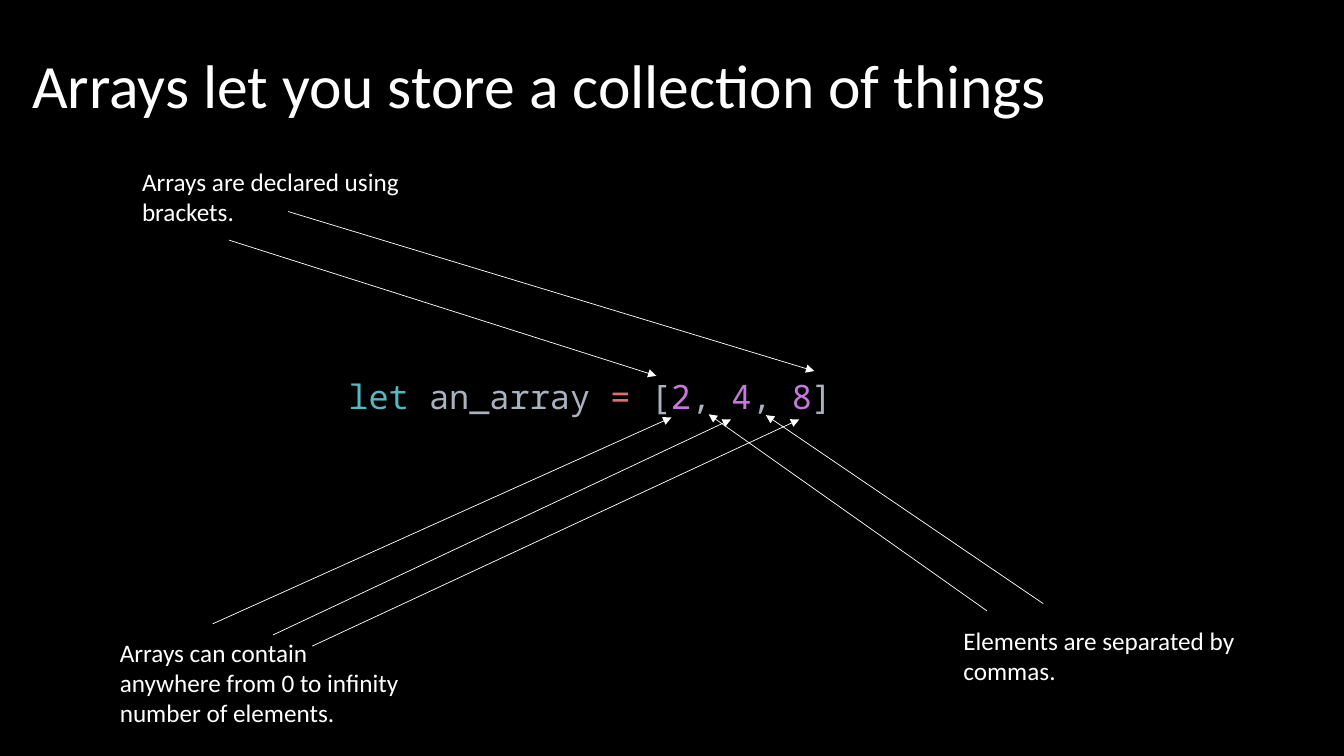
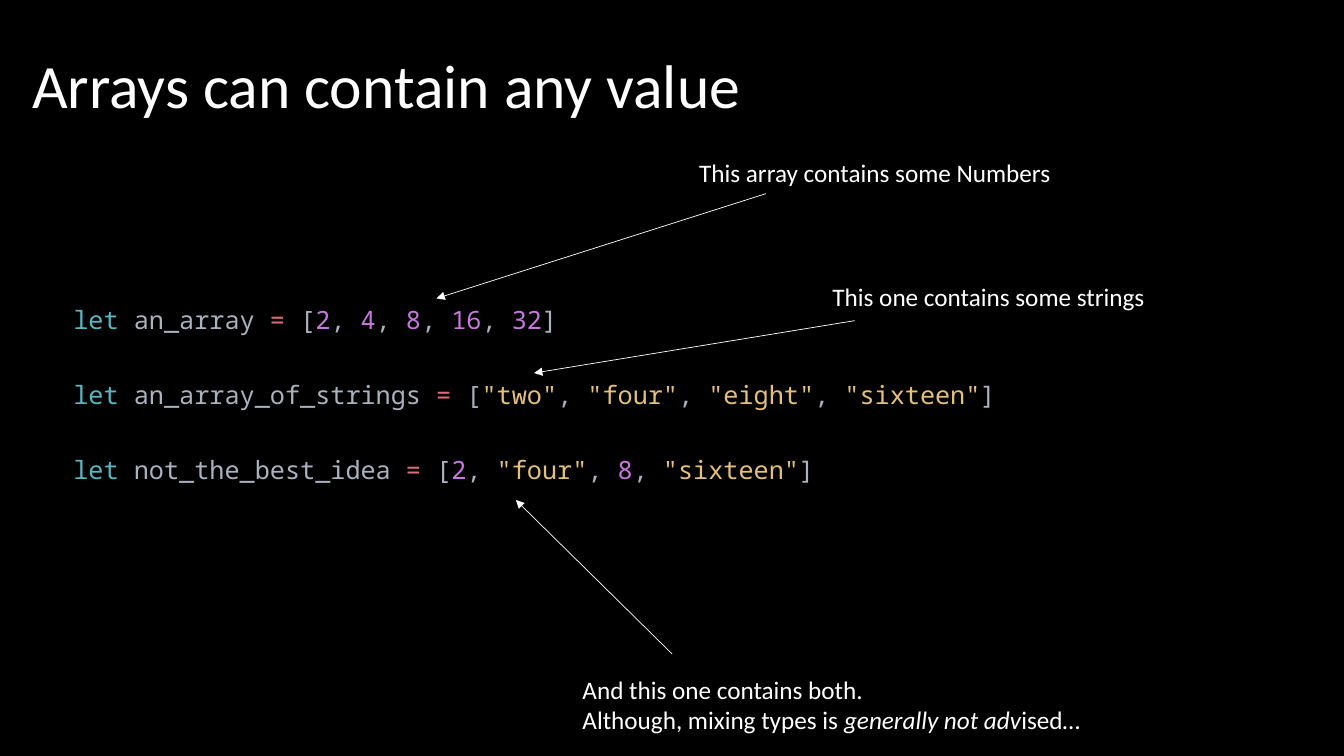
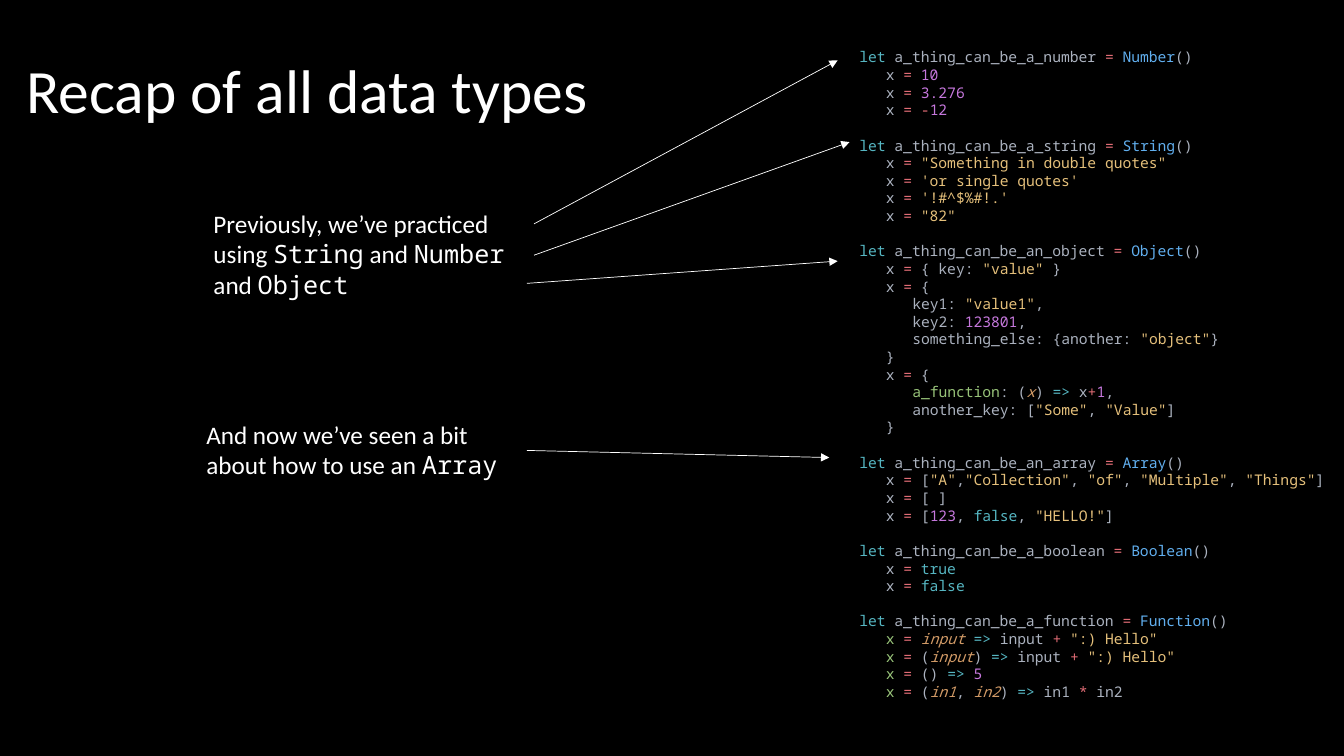
from itertools import groupby
from lxml.etree import SubElement
from pptx import Presentation
from pptx.dml.color import RGBColor
from pptx.enum.shapes import MSO_CONNECTOR
from pptx.enum.text import MSO_ANCHOR
from pptx.oxml.ns import qn
from pptx.util import Cm, Pt


class Theme:
    back = "000000"
    line = "FFFFFF"
    stroke = 0.5
    title = 44
    note = 18
    sans = "Calibri"
    mono = "Noto Sans Mono"
    styles = {
        "text": (sans, "FFFFFF", False),
        "slant": (sans, "FFFFFF", True),
        "term": (mono, "FFFFFF", False),
        "plain": (mono, "ABB2BF", False),
        "key": (mono, "56B6C2", False),
        "sign": (mono, "E06C75", False),
        "number": (mono, "C678DD", False),
        "string": (mono, "E5C07B", False),
        "type": (mono, "61AFEF", False),
        "name": (mono, "98C379", False),
        "param": (mono, "D19A66", True),
    }


TYPES = [
    "let a_thing_can_be_a_number = Number()",
    "   x = 10",
    "   x = 3.276",
    "   x = -12",
    "let a_thing_can_be_a_string = String()",
    '   x = "Something in double quotes"',
    "   x = 'or single quotes'",
    "   x = '!#^$%#!.'",
    '   x = "82"',
    "let a_thing_can_be_an_object = Object()",
    '   x = { key: "value" }',
    "   x = {",
    '      key1: "value1",',
    "      key2: 123801,",
    '      something_else: {another: "object"}',
    "   }",
    "   x = {",
    "      a_function: (x) => x+1,",
    '      another_key: ["Some", "Value"]',
    "   }",
    "let a_thing_can_be_an_array = Array()",
    '   x = ["A","Collection", "of", "Multiple", "Things"]',
    "   x = [ ]",
    '   x = [123, false, "HELLO!"]',
    "let a_thing_can_be_a_boolean = Boolean()",
    "   x = true",
    "   x = false",
    "let a_thing_can_be_a_function = Function()",
    '   x = input => input + ":) Hello"',
    '   x = (input) => input + ":) Hello"',
    "   x = () => 5",
    "   x = (in1, in2) => in1 * in2",
]

SAMPLES = [
    ("let an_array = [2, 4, 8, 16, 32]", 12.9),
    ('let an_array_of_strings = ["two", "four", "eight", "sixteen"]', 24.41),
    ('let not_the_best_idea = [2, "four", 8, "sixteen"]', 20.4),
]

SLIDES = [
    {
        "title": ("Arrays let you store a collection of things", (0.56, 0.38, 29.21, 3.68)),
        "code": [(["let an_array = [2, 4, 8]"], (8.53, 9.35, 13.03, 1.27), 24)],
        "notes": [
            ([["Arrays are declared using brackets."]], (3.33, 4.06, 7.09, 1.8)),
            ([["Elements are separated by commas."]], (24.03, 15.62, 7.65, 1.8)),
            ([["Arrays can contain anywhere from 0 to infinity number of elements."]],
             (2.77, 15.93, 7.65, 2.57)),
        ],
        "arrows": [
            (5.77, 6.05, 16.54, 9.47), (7.26, 5.33, 20.52, 9.35),
            (24.87, 15.39, 17.86, 10.44), (26.29, 15.21, 19.3, 10.46),
            (5.36, 15.72, 16.92, 10.52), (6.88, 16, 18.42, 10.57),
            (7.87, 16.28, 20.14, 10.57),
        ],
    },
    {
        "title": ("Arrays can contain any value", (0.56, 0.38, 29.21, 3.68)),
        "code": [([code], (1.6, 7.55 + 1.89 * row, width, 1.02), 18)
                 for row, (code, width) in enumerate(SAMPLES)],
        "notes": [
            ([["This array contains some Numbers"]], (17.37, 3.84, 11.51, 1.02)),
            ([["This one contains some strings"]], (20.73, 6.96, 11.51, 1.02)),
            ([["And this one contains both."],
              ["Although, mixing types is ", ("generally not adv", "slant"), "ised…"]],
             (14.43, 16.87, 13.36, 1.8)),
        ],
        "arrows": [
            (19.3, 4.88, 11, 7.52), (21.54, 8.08, 13.46, 9.4),
            (16.94, 16.48, 13, 12.6),
        ],
    },
    {
        "title": ("Recap of all data types", (0.41, 0.53, 17.42, 3.68)),
        "code": [(TYPES, (21.41, 1.09, 12.55, 17.75), 10.5)],
        "notes": [
            ([["Previously, we’ve practiced using ", ("String", "term"), " and ",
               ("Number ", "term"), "and ", ("Object", "term")]],
             (5.13, 5.13, 8.31, 2.57)),
            ([["And now we’ve seen a bit about how to use an ", ("Array", "term")]],
             (4.95, 10.44, 8.31, 1.8)),
        ],
        "arrows": [
            (13.46, 5.64, 21.11, 1.52), (13.46, 6.43, 21.41, 3.58),
            (13.28, 7.14, 21.11, 6.58), (13.28, 11.35, 20.9, 11.53),
        ],
    },
]


def classify(word, start, arrow):
    if word[0].isdigit():
        return "number"
    if word in ("let", "true", "false"):
        return "key"
    if word[0].isupper():
        return "type"
    if start < arrow:
        return "param" if start else "name"
    return "plain"


def tokens(line):
    arrow, start = line.find("=>"), 0
    while start < len(line):
        char, end, style = line[start], start + 1, "plain"
        if char in "\"'":
            end, style = line.index(char, end) + 1, "string"
        elif char.isalnum():
            while end < len(line) and (line[end].isalnum() or line[end] in "_."):
                end += 1
            style = classify(line[start:end], start, arrow)
        elif start == arrow:
            end, style = start + 2, "key"
        elif char in "=+-*":
            style = "sign"
        yield line[start:end], style
        start = end


def color(line):
    return [("".join(word for word, _ in group), style)
            for style, group in groupby(tokens(line), lambda token: token[1])]


def write(slide, lines, at, size=Theme.note, anchor=MSO_ANCHOR.TOP,
          spacing=None, indents=None, gap=0):
    frame = slide.shapes.add_textbox(*map(Cm, at)).text_frame
    frame.word_wrap = True
    frame.vertical_anchor = anchor
    for row, runs in enumerate(lines):
        para = frame.add_paragraph() if row else frame.paragraphs[0]
        para.line_spacing = spacing
        if indents and indents[row]:
            para._p.get_or_add_pPr().set("marL", str(Pt(indents[row])))
        elif row and gap:
            para.space_before = Pt(gap)
        for part in runs:
            words, style = (part, "text") if isinstance(part, str) else part
            run = para.add_run()
            run.text = words
            font = run.font
            font.name, shade, font.italic = Theme.styles[style]
            font.color.rgb = RGBColor.from_string(shade)
            font.size = Pt(size)


def program(slide, lines, at, size):
    indents = [(len(line) - len(line.lstrip())) * size * 0.6 for line in lines]
    write(slide, [color(line.strip()) for line in lines], at,
          size=size, indents=indents, gap=size * 1.2)


def point(slide, ends):
    link = slide.shapes.add_connector(MSO_CONNECTOR.STRAIGHT, *map(Cm, ends))
    link.line.color.rgb = RGBColor.from_string(Theme.line)
    link.line.width = Pt(Theme.stroke)
    props = link._element.spPr
    SubElement(props.get_or_add_ln(), qn("a:tailEnd"), type="triangle")
    SubElement(props, qn("a:effectLst"))


deck = Presentation()
deck.slide_width, deck.slide_height = Cm(33.87), Cm(19.05)
fill = deck.slide_master.background.fill
fill.solid()
fill.fore_color.rgb = RGBColor.from_string(Theme.back)

for page in SLIDES:
    slide = deck.slides.add_slide(deck.slide_layouts[6])
    title, at = page["title"]
    write(slide, [[title]], at, size=Theme.title, anchor=MSO_ANCHOR.MIDDLE, spacing=0.9)
    for lines, at, size in page["code"]:
        program(slide, lines, at, size)
    for lines, at in page["notes"]:
        write(slide, lines, at)
    for ends in page["arrows"]:
        point(slide, ends)

deck.save("out.pptx")
